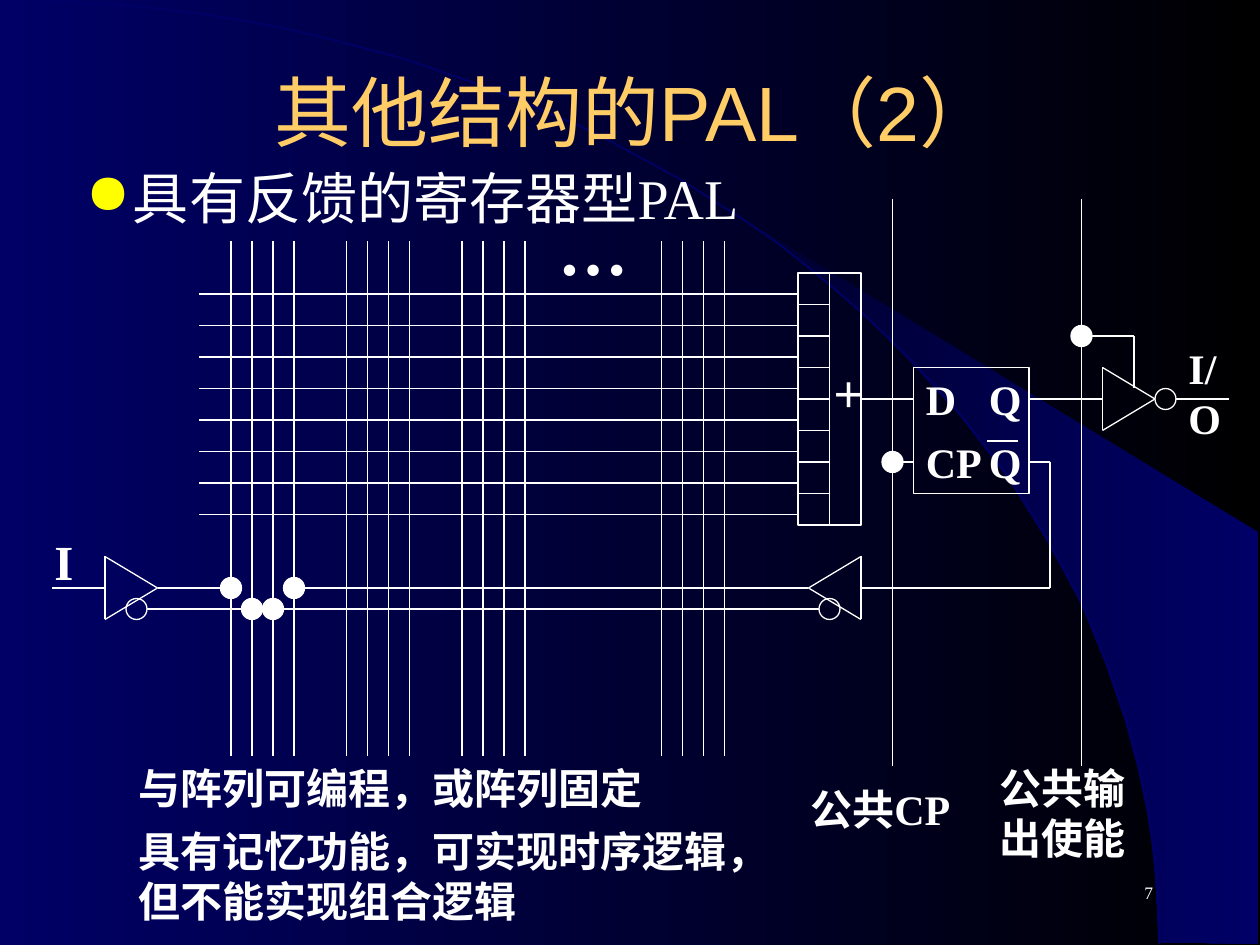
"""Build the slide on the registered PAL structure with feedback."""
import math

import lxml.etree
import pptx
import pptx.dml.color
import pptx.enum.shapes
import pptx.enum.text
import pptx.oxml.ns
import pptx.util

COLORS = {name: pptx.dml.color.RGBColor.from_string(value) for name, value in {
    "navy": "000066", "black": "000000", "deep": "00002F",
    "white": "FFFFFF", "gold": "FFCC66"}.items()}
BULLET_COLOR = "FFFF00"
GRID = 2.54 / 12
HUNDREDTH = pptx.util.Cm(0.0254)
SHAPES = pptx.enum.shapes.MSO_SHAPE
ALIGN = pptx.enum.text.PP_ALIGN
ANCHOR = pptx.enum.text.MSO_ANCHOR
qn = pptx.oxml.ns.qn

deck = pptx.Presentation()
deck.slide_width = pptx.util.Cm(25.4)
deck.slide_height = pptx.util.Cm(19.05)
page = deck.slides.add_slide(deck.slide_layouts[6])


def add_wire(x1, y1, x2, y2):
    ends = [pptx.util.Cm(value * GRID) for value in (x1, y1, x2, y2)]
    wire = page.shapes.add_connector(pptx.enum.shapes.MSO_CONNECTOR.STRAIGHT, *ends)
    wire.line.color.rgb = COLORS["white"]
    wire.line.width = pptx.util.Pt(0.75)
    lxml.etree.SubElement(wire._element.spPr, qn("a:effectLst"))
    return wire


def add_label(text, left, top, width, height, size, bold=True, color="white",
              font="Times New Roman", align=ALIGN.LEFT, anchor=ANCHOR.TOP, bullet=None):
    box = page.shapes.add_textbox(*[pptx.util.Cm(value * GRID) for value in (left, top, width, height)])
    box.text_frame.word_wrap = True
    box.text_frame.vertical_anchor = anchor
    para = box.text_frame.paragraphs[0]
    para.text = text
    para.alignment = align
    if bullet:
        properties = para._p.get_or_add_pPr()
        indent = pptx.util.Cm(0.95)
        properties.set("marL", str(indent))
        properties.set("indent", str(-indent))
        bullet_color = lxml.etree.SubElement(properties, qn("a:buClr"))
        lxml.etree.SubElement(bullet_color, qn("a:srgbClr"), val=BULLET_COLOR)
        lxml.etree.SubElement(properties, qn("a:buChar"), char=bullet)
    para.font.size = pptx.util.Pt(size)
    para.font.bold = bold
    para.font.name = font
    para.font.color.rgb = COLORS[color]


sweep_points = [(920, 748), (999, 749), (999, 423), (589, 173), (624, 199), (653, 222),
                (685, 250), (716, 280), (762, 330), (803, 384), (832, 431), (858, 479),
                (878, 528), (893, 572), (903, 609), (913, 656), (917, 696)]
builder = page.shapes.build_freeform(*sweep_points[0], scale=HUNDREDTH)
builder.add_line_segments(sweep_points[1:], close=True)
sweep = builder.convert_to_shape()
sweep.shadow.inherit = False
sweep.line.fill.background()

for fill, start, end in ((page.background.fill, "navy", "black"), (sweep.fill, "deep", "navy")):
    fill.gradient()
    fill.gradient_angle = 0
    for stop, color, position in zip(fill.gradient_stops, (start, end), (0, 1)):
        stop.color.rgb = COLORS[color]
        stop.position = position

arc_points = [(920 * math.sin(math.radians(angle)), 749 * (1 - math.cos(math.radians(angle))))
              for angle in range(0, 91, 2)]
builder = page.shapes.build_freeform(*arc_points[0], scale=HUNDREDTH)
builder.add_line_segments(arc_points[1:], close=False)
arc = builder.convert_to_shape()
arc.shadow.inherit = False
arc.fill.background()
arc.line.color.rgb = COLORS["navy"]
arc.line.width = pptx.util.Pt(1)

add_label("7", 86, 82, 25, 6, 10, bold=False, align=ALIGN.RIGHT, anchor=ANCHOR.MIDDLE)
add_label("其他结构的PAL（2）", 4, 3, 113, 15, 44, bold=False, color="gold", font="Arial",
          align=ALIGN.CENTER, anchor=ANCHOR.MIDDLE)
add_label("具有反馈的寄存器型PAL", 7, 15, 107, 61, 32, bold=False, bullet="●")

for row in range(8):
    add_wire(76, 28 + 3 * row, 19, 28 + 3 * row)
for group_left in (22, 33, 44, 63):
    for column in range(4):
        add_wire(group_left + 2 * column, 23, group_left + 2 * column, 72)

and_cells = [(SHAPES.RECTANGLE, 76, 26 + 3 * row, 3, 3, False) for row in range(8)]
inverter_rings = [(SHAPES.OVAL, x - 1, y - 1, 2, 2, False)
                  for x, y in ((111, 38), (13, 58), (79, 58))]
junctions = [(SHAPES.OVAL, x - 1, y - 1, 2, 2, True)
             for x, y in ((22, 56), (24, 58), (26, 58), (28, 56), (103, 32), (85, 44))]
flip_flop = (SHAPES.RECTANGLE, 87, 35, 11, 12, False)
or_gate = (SHAPES.RECTANGLE, 79, 26, 3, 24, False)
for kind, left, top, width, height, filled in and_cells + inverter_rings + junctions + [flip_flop, or_gate]:
    part = page.shapes.add_shape(kind, *[pptx.util.Cm(value * GRID) for value in (left, top, width, height)])
    part.shadow.inherit = False
    part.line.color.rgb = COLORS["white"]
    part.line.width = pptx.util.Pt(0.75)
    if filled:
        part.fill.solid()
        part.fill.fore_color.rgb = COLORS["white"]
    else:
        part.fill.background()
or_output = add_wire(82, 38, 87, 38)
or_output.begin_connect(part, 3)

for base, tip, middle in ((105, 110, 38), (10, 15, 56), (82, 77, 56)):
    add_wire(base, middle - 3, base, middle + 3)
    add_wire(base, middle - 3, tip, middle)
    add_wire(base, middle + 3, tip, middle)

for ends in ((98, 38, 105, 38), (112, 38, 117, 38), (103, 32, 108, 32), (108, 37, 108, 32),
             (87, 44, 85, 44), (98, 44, 100, 44), (100, 44, 100, 56), (82, 56, 100, 56),
             (77, 56, 28, 56), (26, 58, 78, 58), (22, 56, 15, 56), (24, 58, 14, 58),
             (10, 56, 5, 56), (94, 42, 97, 42), (85, 19, 85, 73), (103, 19, 103, 73)):
    add_wire(*ends)

for text, left, top, width, height, size in (
        ("＋", 78, 35, 5, 5.3, 20),
        ("…", 52, 19, 9, 9.2, 40),
        ("I", 4, 50, 6, 6.8, 28),
        ("I/O", 112, 32, 8, 10.8, 24),
        ("D", 87, 35, 5, 6, 24),
        ("Q", 93, 35, 5, 6, 24),
        ("CP", 87, 41, 9, 6, 24),
        ("Q", 93, 41, 5, 6, 24),
        ("公共CP", 76, 74, 18, 6, 24),
        ("公共输出使能", 94, 72, 18, 10.8, 24),
        ("与阵列可编程，或阵列固定", 12, 72, 55, 6, 24),
        ("具有记忆功能，可实现时序逻辑，但不能实现组合逻辑", 12, 78, 61, 10.8, 24)):
    add_label(text, left, top, width, height, size)

deck.save("out.pptx")
